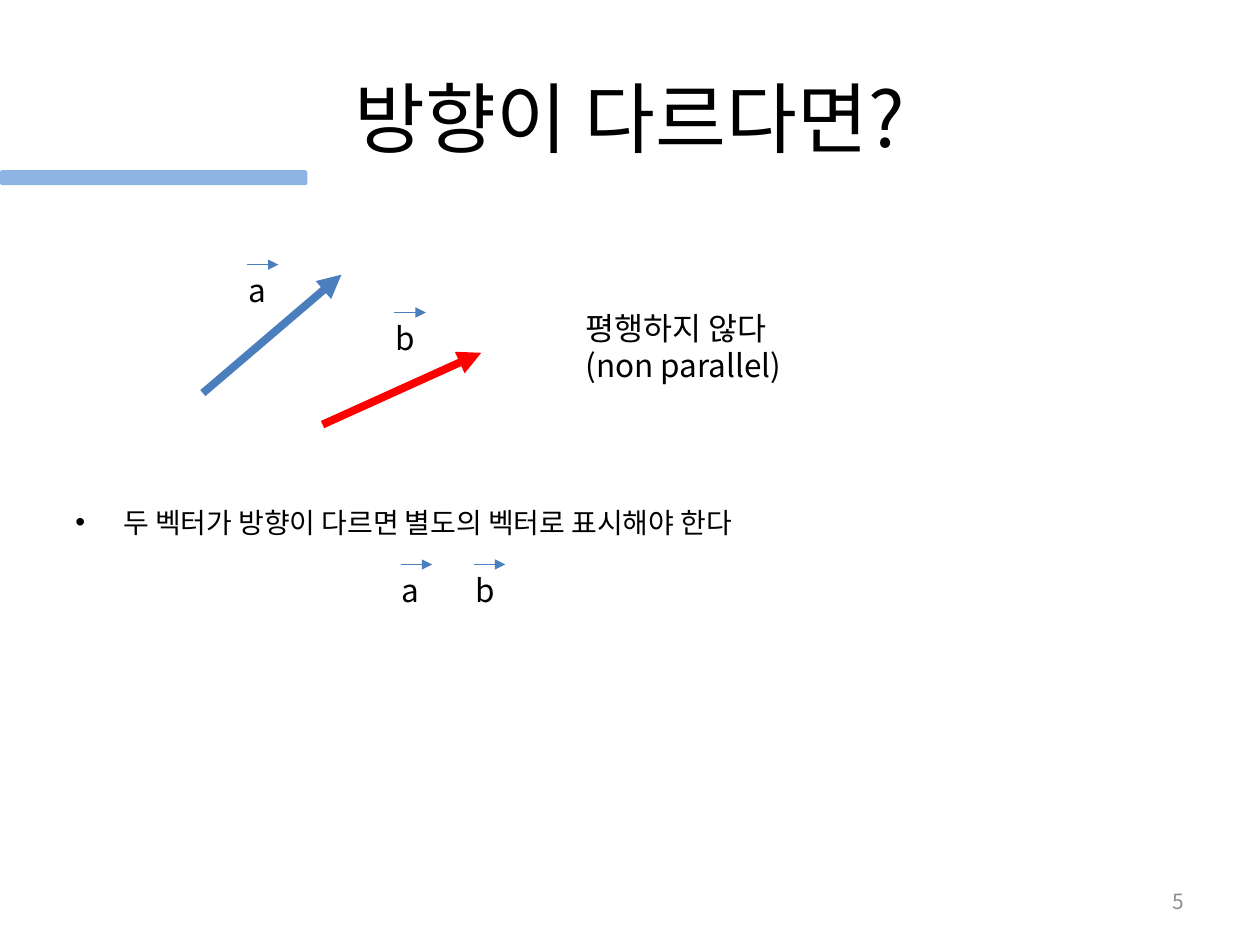
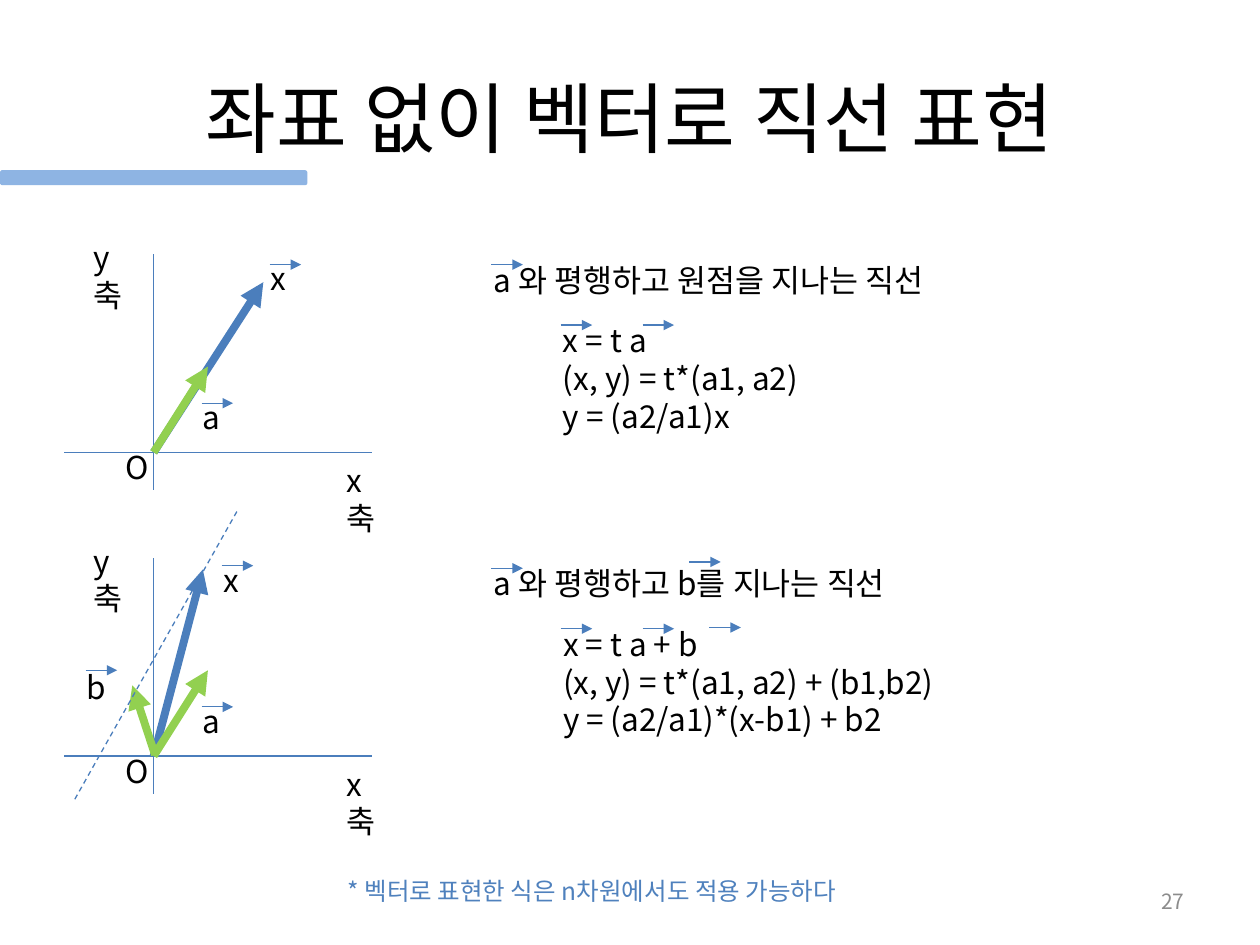
from lxml.etree import SubElement
from pptx import Presentation
from pptx.dml.color import RGBColor
from pptx.enum.dml import MSO_LINE
from pptx.enum.shapes import MSO_CONNECTOR, MSO_SHAPE
from pptx.enum.text import MSO_ANCHOR, PP_ALIGN
from pptx.oxml.ns import qn
from pptx.util import Inches, Pt

COLUMNS, ROWS = 10, 7.5
CELL = Inches(1)
FONT = "Noto Sans CJK KR"
BLACK = RGBColor(0x00, 0x00, 0x00)
GRAY = RGBColor(0x8C, 0x8C, 0x8C)
BAND = RGBColor(0x8E, 0xB4, 0xE3)
BLUE = RGBColor(0x4B, 0x7E, 0xBC)
NOTE_BLUE = RGBColor(0x4F, 0x81, 0xBD)
GREEN = RGBColor(0x92, 0xD0, 0x50)
RED = RGBColor(0xFF, 0x00, 0x00)
THIN, THICK = 0.75, 4.5
MARK_LENGTH = 0.25
PANEL_STEP = 2.41


def grid(*cells):
    """Turn grid positions into slide lengths."""
    return [int(CELL * cell) for cell in cells]


def add_span(para, text, size, color):
    """Add one formatted run to a paragraph."""
    span = para.add_run()
    span.text = text
    span.font.size = Pt(size)
    span.font.color.rgb = color
    span.font.name = FONT
    SubElement(span.font._element, qn("a:ea"), typeface=FONT)


def add_text(page, place, lines, size=18, color=BLACK, wrap=False):
    """Add a text box with one paragraph for each line."""
    box = page.shapes.add_textbox(*grid(*place))
    frame = box.text_frame
    frame.word_wrap = wrap
    for number, line in enumerate(lines):
        para = frame.add_paragraph() if number else frame.paragraphs[0]
        add_span(para, line, size, color)
    return box


def add_line(page, start, end, color=BLUE, width=THIN, arrow=False, dash=False):
    """Draw a straight line, with an arrowhead at its end on request."""
    line = page.shapes.add_connector(MSO_CONNECTOR.STRAIGHT, *grid(*start, *end))
    line.line.color.rgb = color
    line.line.width = Pt(width)
    if dash:
        line.line.dash_style = MSO_LINE.DASH
    if arrow:
        SubElement(line.line._get_or_add_ln(), qn("a:tailEnd"), type="triangle")
    SubElement(line._element.spPr, qn("a:effectLst"))


def add_vector(page, start, tip, color):
    """Draw a thick vector arrow."""
    add_line(page, start, tip, color, THICK, arrow=True)


def add_mark(page, left, top):
    """Draw the short arrow that stands over a vector's letter."""
    add_line(page, (left, top), (left + MARK_LENGTH, top), arrow=True)


def add_vector_name(page, letter, left, top, rise=0.0):
    """Write a letter below its vector mark."""
    box = add_text(page, (left - 0.14, top - rise, 0.42, 0.4), [letter])
    box.text_frame.margin_left = Inches(0.15)
    add_mark(page, left, top)


def add_bullet(page, place, text):
    """Add a bulleted sentence with a hanging indent."""
    box = add_text(page, place, [text], size=16, wrap=True)
    properties = box.text_frame.paragraphs[0]._p.get_or_add_pPr()
    properties.set("marL", str(Inches(0.38)))
    properties.set("indent", str(-Inches(0.38)))
    SubElement(properties, qn("a:buFont"), typeface="Arial")
    SubElement(properties, qn("a:buChar"), char="•")


def add_page(deck, title, number):
    """Add a slide with its title, page number and band."""
    page = deck.slides.add_slide(deck.slide_layouts[5])
    heading = page.shapes.title
    heading.left, heading.top, heading.width, heading.height = grid(0.5, 0.3, 9, 1.25)
    heading.text_frame.vertical_anchor = MSO_ANCHOR.MIDDLE
    para = heading.text_frame.paragraphs[0]
    para.alignment = PP_ALIGN.CENTER
    add_span(para, title, 44, BLACK)
    footer = add_text(page, (7.17, 6.95, 2.33, 0.4), [number], 12, GRAY, wrap=True)
    footer.text_frame.vertical_anchor = MSO_ANCHOR.MIDDLE
    footer.text_frame.paragraphs[0].alignment = PP_ALIGN.RIGHT
    band = page.shapes.add_shape(MSO_SHAPE.ROUNDED_RECTANGLE, *grid(0, 1.35, 2.44, 0.12))
    band.shadow.inherit = False
    band.fill.solid()
    band.fill.fore_color.rgb = BAND
    band.line.fill.background()
    return page


def add_plane(page, top, x_tip, x_name):
    """Draw axes with the vectors x and a from the origin."""
    origin = (1.22, top + 1.57)
    add_line(page, (1.22, top), (1.22, top + 1.87))
    add_line(page, (0.51, origin[1]), (2.95, origin[1]))
    add_text(page, (0.9, top + 1.49, 0.4, 0.4), ["O"])
    add_text(page, (2.65, top + 1.59, 0.5, 0.7), ["x축"], wrap=True)
    add_text(page, (0.64, top - 0.18, 0.5, 0.7), ["y축"], wrap=True)
    add_vector(page, origin, x_tip, BLUE)
    add_vector(page, origin, (1.65, top + 0.89), GREEN)
    add_vector_name(page, "a", 1.6, top + 1.18, 0.09)
    add_vector_name(page, "x", *x_name, 0.09)


def add_equations(page, top, heading, width, lines, lines_width):
    """Write a line's description above its equations."""
    add_text(page, (3.82, top, width, 0.4), [heading])
    add_mark(page, 3.9, top + 0.08)
    add_text(page, (4.37, top + 0.48, lines_width, 1.01), lines)
    for left in (4.45, 5.1):
        add_mark(page, left, top + 0.56)


def build_directions(deck):
    """Build the slide on vectors that differ in direction."""
    page = add_page(deck, "방향이 다르다면?", "5")
    add_vector(page, (1.61, 3.12), (2.71, 2.18), BLUE)
    add_vector(page, (2.56, 3.37), (3.82, 2.8), RED)
    add_text(page, (4.55, 2.4, 1.81, 0.71), ["평행하지 않다", "(non parallel)"])
    add_bullet(page, (0.5, 3.96, 9, 1.05), "두 벡터가 방향이 다르면 별도의 벡터로 표시해야 한다")
    names = [("a", 1.96, 2.1), ("b", 3.13, 2.48), ("a", 3.18, 4.48), ("b", 3.76, 4.48)]
    for name in names:
        add_vector_name(page, *name)


def build_lines(deck):
    """Build the slide on lines written with vectors."""
    page = add_page(deck, "좌표 없이 벡터로 직선 표현", "27")
    first = 2.02
    second = first + PANEL_STEP
    add_plane(page, first, (2.09, 2.24), (2.14, 2.1))
    add_equations(page, first, "a 와 평행하고 원점을 지나는 직선", 4.06,
                  ["x = t a", "(x, y) = t*(a1, a2)", "y = (a2/a1)x"], 2.13)
    add_plane(page, second, (1.61, 4.52), (1.76, 4.49))
    add_equations(page, second, "a 와 평행하고 b를 지나는 직선", 3.71,
                  ["x = t a + b", "(x, y) = t*(a1, a2) + (b1,b2)",
                   "y = (a2/a1)*(x-b1) + b2"], 3.28)
    add_vector(page, (1.23, 5.99), (1.05, 5.44), GREEN)
    add_vector_name(page, "b", 0.68, 5.32, 0.07)
    add_line(page, (1.88, 4.06), (0.59, 6.35), dash=True)
    add_mark(page, 5.47, 4.46)
    add_mark(page, 5.63, 4.98)
    add_text(page, (2.66, 6.9, 4.54, 0.34),
             ["* 벡터로 표현한 식은 n차원에서도 적용 가능하다"], 14, NOTE_BLUE)


def main():
    """Build and save the deck."""
    deck = Presentation()
    deck.slide_width, deck.slide_height = grid(COLUMNS, ROWS)
    build_directions(deck)
    build_lines(deck)
    deck.save("out.pptx")


if __name__ == "__main__":
    main()
